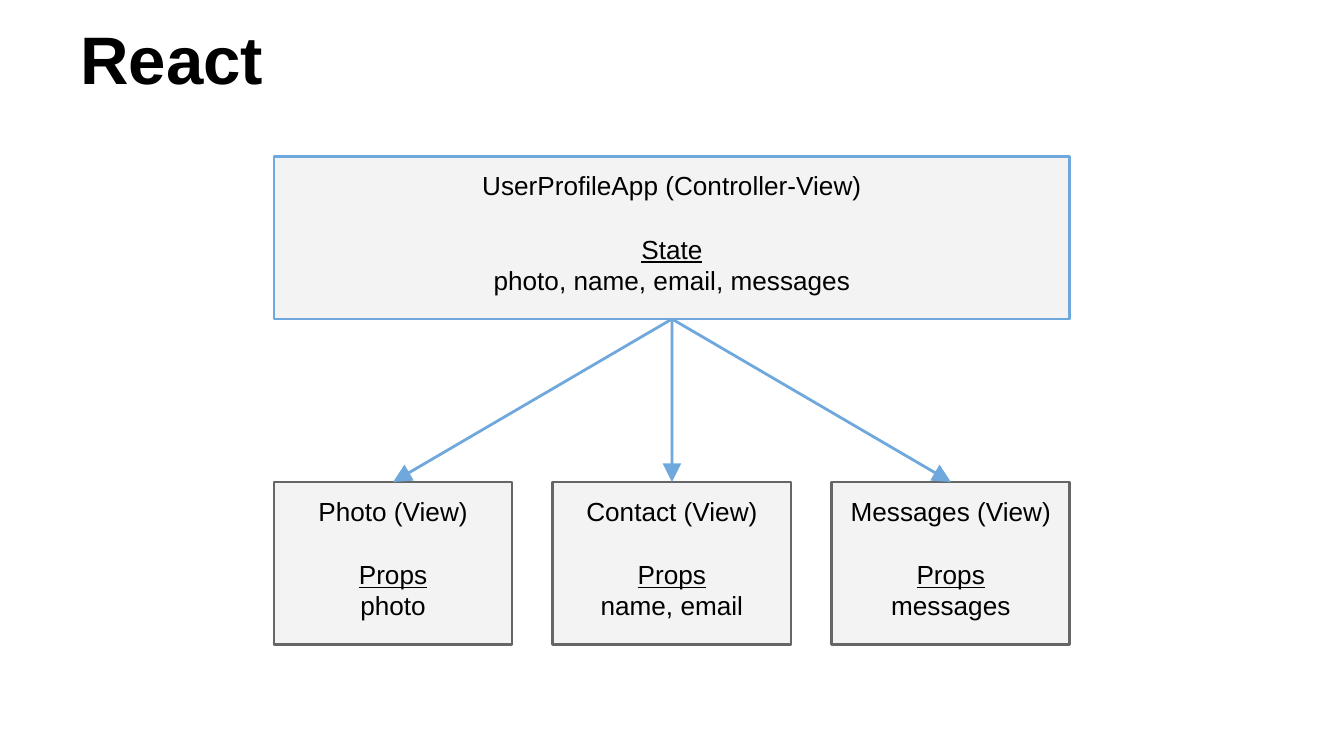
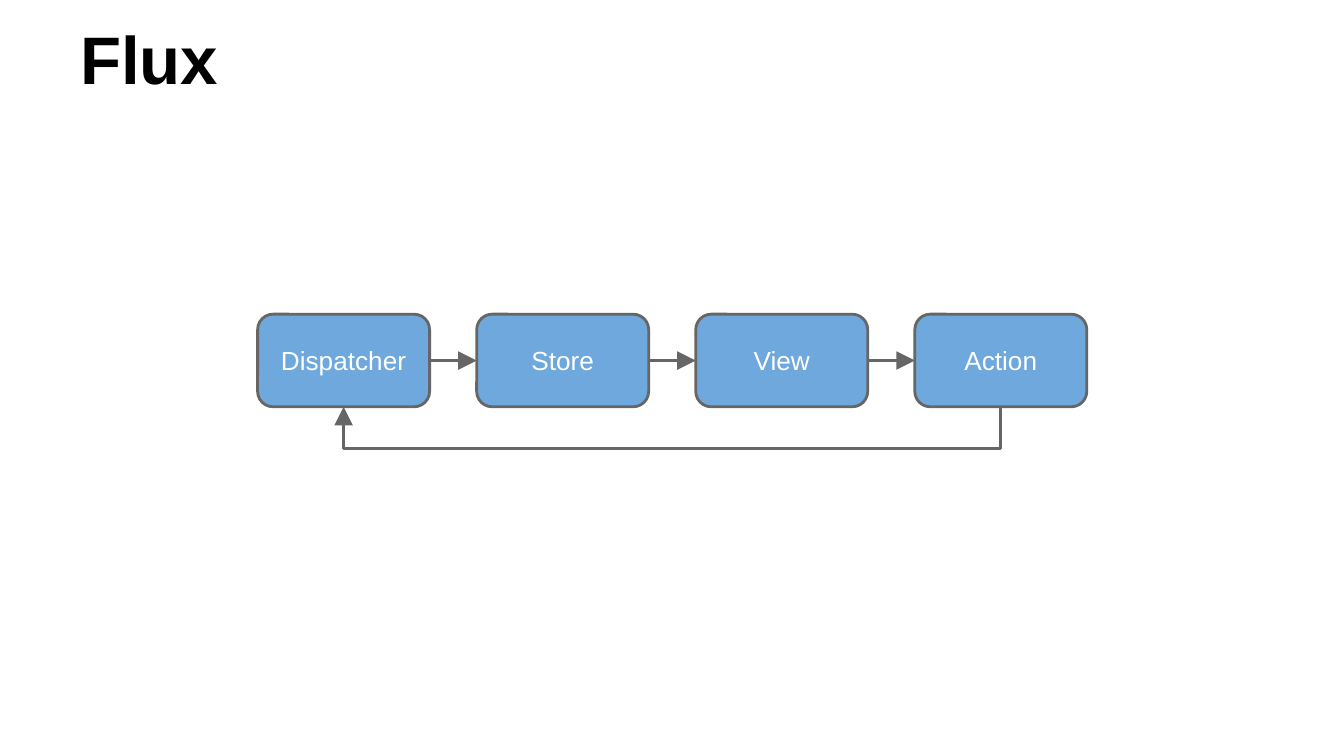
"""Build two slides: the React component tree and the Flux data cycle."""
import pptx
import pptx.dml.color
import pptx.enum.shapes
import pptx.enum.text
import pptx.oxml
import pptx.oxml.ns
import pptx.util

Cm = pptx.util.Cm
Pt = pptx.util.Pt
RGBColor = pptx.dml.color.RGBColor
Shape = pptx.enum.shapes.MSO_SHAPE
Connector = pptx.enum.shapes.MSO_CONNECTOR
Anchor = pptx.enum.text.MSO_ANCHOR
Align = pptx.enum.text.PP_ALIGN

BLACK = RGBColor(0x00, 0x00, 0x00)
WHITE = RGBColor(0xFF, 0xFF, 0xFF)
BLUE = RGBColor(0x6F, 0xA8, 0xDC)
GRAY = RGBColor(0x66, 0x66, 0x66)
PALE = RGBColor(0xF3, 0xF3, 0xF3)

TOP, LEFT, BOTTOM, RIGHT = range(4)
LINE_WIDTH = Pt(1.5)
INSET = Cm(0.25)
NAMESPACE = pptx.oxml.ns.nsdecls("a")
TITLE_FONT = {"name": "Arial", "size": Pt(36), "bold": True}
BODY_FONT = {"name": "Arial", "size": Pt(14)}


def write(shape, lines, font_format, color, anchor, alignment):
    """Fill a shape with paragraphs in one text style."""
    frame = shape.text_frame
    frame_format = {
        "word_wrap": True, "vertical_anchor": anchor,
        "margin_left": INSET, "margin_right": INSET,
        "margin_top": INSET, "margin_bottom": INSET,
    }
    for name, value in frame_format.items():
        setattr(frame, name, value)
    frame.text = "\n".join(lines)
    for paragraph in frame.paragraphs:
        paragraph.alignment = alignment
        font = paragraph.runs[0].font
        for name, value in font_format.items():
            setattr(font, name, value)
        font.color.rgb = color


def style_arrow(arrow, color):
    """Give a line its color, a large arrowhead and no shadow."""
    arrow.line.color.rgb = color
    arrow.line.width = LINE_WIDTH
    properties = arrow._element.spPr
    properties.find(pptx.oxml.ns.qn("a:ln")).append(pptx.oxml.parse_xml(
        f'<a:tailEnd {NAMESPACE} type="triangle" w="lg" len="lg"/>'))
    properties.append(pptx.oxml.parse_xml(f'<a:effectLst {NAMESPACE}/>'))


presentation = pptx.Presentation()
presentation.slide_width = Cm(25.4)
presentation.slide_height = Cm(14.29)

slides = []
for title in ("React", "Flux"):
    slide = presentation.slides.add_slide(presentation.slide_layouts[6])
    title_box = slide.shapes.add_textbox(Cm(1.27), Cm(-0.28), Cm(22.86), Cm(2.39))
    write(title_box, [title], TITLE_FONT, BLACK, Anchor.BOTTOM, Align.LEFT)
    slides.append(slide)
react_slide, flux_slide = slides

tree_left, tree_width, view_width = 5.18, 15.04, 4.5
view_step = (tree_width - view_width) / 2
components = [
    (tree_left, 2.96, tree_width, BLUE,
     ["UserProfileApp (Controller-View)", "State", "photo, name, email, messages"]),
]
views = [
    ["Photo (View)", "Props", "photo"],
    ["Contact (View)", "Props", "name, email"],
    ["Messages (View)", "Props", "messages"],
]
for index, lines in enumerate(views):
    components.append((tree_left + index * view_step, 9.11, view_width, GRAY, lines))

component_boxes = []
for left, top, width, outline, lines in components:
    box = react_slide.shapes.add_shape(
        Shape.RECTANGLE, Cm(left), Cm(top), Cm(width), Cm(3.07))
    box.shadow.inherit = False
    box.fill.solid()
    box.fill.fore_color.rgb = PALE
    box.line.color.rgb = outline
    box.line.width = LINE_WIDTH
    write(box, lines, BODY_FONT, BLACK, Anchor.TOP, Align.CENTER)
    heading, label = box.text_frame.paragraphs[:2]
    heading.space_after = Pt(17)
    label.runs[0].font.underline = True
    component_boxes.append(box)

stage_left, stage_top, stage_step = 4.87, 5.94, 4.14
stage_width, stage_height = 3.25, 1.75
stages = ("Dispatcher", "Store", "View", "Action")
stage_boxes = []
for index, stage in enumerate(stages):
    box = flux_slide.shapes.add_shape(
        Shape.FLOWCHART_ALTERNATE_PROCESS, Cm(stage_left + index * stage_step),
        Cm(stage_top), Cm(stage_width), Cm(stage_height))
    box.shadow.inherit = False
    box.fill.solid()
    box.fill.fore_color.rgb = BLUE
    box.line.color.rgb = GRAY
    box.line.width = LINE_WIDTH
    write(box, [stage], BODY_FONT, WHITE, Anchor.MIDDLE, Align.CENTER)
    stage_boxes.append(box)

app_box, *view_boxes = component_boxes
links = [(react_slide, app_box, BOTTOM, view_box, TOP, BLUE) for view_box in view_boxes]
for start, end in zip(stage_boxes, stage_boxes[1:]):
    links.append((flux_slide, start, RIGHT, end, LEFT, GRAY))
for slide, start, start_site, end, end_site, color in links:
    arrow = slide.shapes.add_connector(Connector.STRAIGHT, 0, 0, 0, 0)
    arrow.begin_connect(start, start_site)
    arrow.end_connect(end, end_site)
    style_arrow(arrow, color)

dispatcher_x, action_x = (
    box.left + box.width // 2 for box in (stage_boxes[0], stage_boxes[-1]))
stage_bottom = Cm(stage_top + stage_height)
loop_bottom = stage_bottom + Cm(0.79)
builder = flux_slide.shapes.build_freeform(action_x, stage_bottom)
builder.add_line_segments(
    [(action_x, loop_bottom), (dispatcher_x, loop_bottom), (dispatcher_x, stage_bottom)],
    close=False)
loop_arrow = builder.convert_to_shape()
loop_arrow.fill.background()
style_arrow(loop_arrow, GRAY)

presentation.save("out.pptx")
